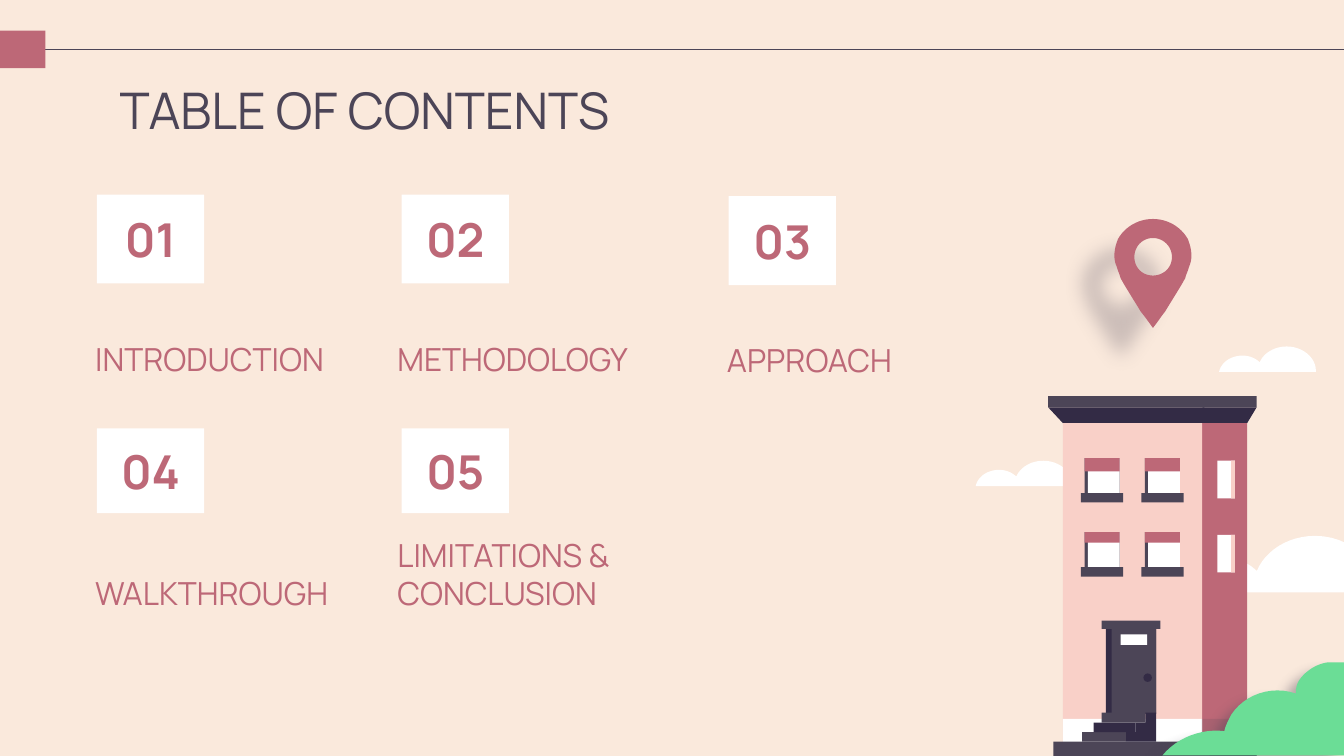
from pptx import Presentation
from pptx.dml.color import RGBColor
from pptx.enum.shapes import MSO_CONNECTOR, MSO_SHAPE
from pptx.enum.text import MSO_ANCHOR, PP_ALIGN
from pptx.oxml import parse_xml
from pptx.oxml.ns import qn, nsdecls
from pptx.util import Cm, Pt
from lxml.etree import SubElement

HUE = {
    "cream": "FAE9DC", "rose": "BD6877", "pink": "F9D0C8", "slate": "4C4557",
    "night": "332B45", "shade": "4E4958", "white": "FFFFFF", "green": "6BDD96",
}
STEPS = 12  # straight pieces per curve

deck = Presentation()
deck.slide_width, deck.slide_height = Cm(25.4), Cm(14.29)
slide = deck.slides.add_slide(deck.slide_layouts[6])
shapes = slide.shapes
slide.background.fill.solid()
slide.background.fill.fore_color.rgb = RGBColor.from_string(HUE["cream"])


def box(hue, left, top, width, height, kind=MSO_SHAPE.RECTANGLE, alpha=None):
    """Add a plain filled shape; alpha is a percentage."""
    item = shapes.add_shape(kind, Cm(left), Cm(top), Cm(width), Cm(height))
    item.shadow.inherit = False
    item.line.fill.background()
    item.fill.solid()
    item.fill.fore_color.rgb = RGBColor.from_string(HUE[hue])
    if alpha:
        tint = item._element.spPr.find(qn("a:solidFill"))[0]
        SubElement(tint, qn("a:alpha")).set("val", str(alpha * 1000))
    return item


def sketch(hue, rings, left=0, top=0, width=1, height=1, glow=None):
    """Add an outline; a pair is a corner, six numbers are a cubic curve."""
    pen = None
    for ring in rings:
        spots = []
        for node in ring:
            if len(node) == 2:
                spots.append(node)
                continue
            ends = [spots[-1], node[:2], node[2:4], node[4:]]
            for step in range(1, STEPS + 1):
                t = step / STEPS
                part = ((1 - t) ** 3, 3 * t * (1 - t) ** 2, 3 * t * t * (1 - t), t ** 3)
                spots.append([sum(p * e[i] for p, e in zip(part, ends)) for i in (0, 1)])
        spots = [(Cm(left + x * width), Cm(top + y * height)) for x, y in spots]
        if pen is None:
            pen = shapes.build_freeform(*spots[0])
        else:
            pen.move_to(*spots[0])
        pen.add_line_segments(spots[1:], close=True)
    item = pen.convert_to_shape()
    item.shadow.inherit = False
    item.line.fill.background()
    item.fill.solid()
    item.fill.fore_color.rgb = RGBColor.from_string(HUE[hue])
    if glow:
        alpha, blur, dist = glow
        item._element.spPr.find(qn("a:effectLst")).append(parse_xml(
            f'<a:outerShdw {nsdecls("a")} blurRad="{Pt(blur)}" dist="{Pt(dist)}" '
            f'dir="{138 * 60000}" algn="bl" rotWithShape="0"><a:srgbClr val="{HUE["slate"]}">'
            f'<a:alpha val="{alpha * 1000}"/></a:srgbClr></a:outerShdw>'))


# Header rule and tab
rule = shapes.add_connector(MSO_CONNECTOR.STRAIGHT, 0, Cm(0.94), Cm(25.4), Cm(0.94))
rule.line.color.rgb = RGBColor.from_string(HUE["slate"])
rule.line.width = Pt(0.75)
SubElement(rule._element.spPr, qn("a:effectLst"))
box("rose", 0, 0.58, 0.86, 0.71)

# Clouds
cloud = [(1, 1), (1, 0.95), (1, 0.43, 0.86, 0, 0.7, 0), (0.57, 0, 0.46, 0.26, 0.42, 0.62),
         (0.37, 0.45, 0.31, 0.36, 0.24, 0.36), (0.12, 0.36, 0.02, 0.64, 0, 1)]
for place in [(18.44, 8.71, 1.83, 0.48), (23.04, 6.55, 1.83, 0.48), (22.1, 10.13, 3.94, 1.07)]:
    sketch("white", [cloud], *place)

# Eaves, walls and roof
sketch("night", [[(19.81, 7.7), (22.76, 7.7), (22.76, 8), (20.09, 8)]])
sketch("night", [[(22.73, 7.7), (23.75, 7.7), (23.57, 8), (22.73, 8)]])
for part in [
    ("rose", 22.71, 8, 0.86, 6.29),
    ("pink", 20.09, 8, 2.63, 6.29),
    ("slate", 22.73, 7.49, 1.02, 0.21),
    ("slate", 19.81, 7.49, 2.95, 0.21),
    ("white", 20.09, 13.59, 2.63, 0.7),
]:
    box(*part)
box("shade", 22.71, 13.59, 0.86, 0.7, alpha=17)

# Windows
for top, blind in [(8.66, 0.25), (10.06, 0.2)]:
    for left in (20.5, 21.64):
        box("slate", left, top, 0.66, 0.66)
        box("white", left + 0.06, top, 0.6, 0.66)
        box("rose", left, top, 0.66, blind)
        box("slate", left - 0.07, top + 0.66, 0.8, 0.18)
    box("white", 23.01, top + 0.05, 0.33, 0.71)
    box("pink", 23.27, top + 0.05, 0.07, 0.71)

# Ground, door and stairs
box("slate", 19.91, 14.02, 3.84, 0.27)
box("night", 22.86, 14.02, 0.89, 0.27, alpha=57)
for part in [
    ("night", 20.9, 11.89, 0.95, 1.6),
    ("slate", 21.01, 11.89, 0.84, 1.6),
    ("white", 21.18, 11.99, 0.5, 0.2),
    ("slate", 20.82, 11.73, 1.11, 0.16),
]:
    box(*part)
sketch("night", [[(21.65, 13.47), (21.65, 13.66), (21.46, 13.66), (21.46, 13.84),
                  (21.28, 13.84), (21.28, 14.02), (21.85, 14.02), (21.85, 13.47)]])
box("slate", 20.45, 13.84, 0.83, 0.18)
box("night", 20.67, 13.66, 0.79, 0.18)
box("slate", 20.82, 13.47, 0.83, 0.19)
box("night", 21.61, 12.73, 0.16, 0.16, MSO_SHAPE.OVAL)

# Bush
sketch("green", [[
    (25.4, 12.52), (25.4, 14.28), (21.97, 14.28), (22.25, 13.94, 22.71, 13.77, 23.14, 13.82),
    (23.16, 13.72, 23.22, 13.61, 23.27, 13.51), (23.52, 13.13, 24.03, 12.95, 24.49, 13.11),
    (24.49, 13, 24.51, 12.93, 24.56, 12.85), (24.69, 12.67, 24.89, 12.55, 25.1, 12.52),
]], glow=(41, 6.8, 8.2))

# Map pin: outline and hole
sketch("rose", [[
    (21.79, 4.14), (21.51, 4.14, 21.26, 4.29, 21.13, 4.52),
    (21.06, 4.7, 21.03, 4.88, 21.11, 5.05), (21.13, 5.13, 21.16, 5.18, 21.18, 5.26),
    (21.29, 5.46, 21.44, 5.69, 21.56, 5.89), (21.64, 5.99, 21.72, 6.1, 21.79, 6.2),
    (21.87, 6.1, 21.94, 5.99, 22.02, 5.89), (22.14, 5.69, 22.29, 5.46, 22.4, 5.26),
    (22.42, 5.18, 22.45, 5.13, 22.47, 5.05), (22.55, 4.88, 22.52, 4.7, 22.45, 4.52),
    (22.32, 4.29, 22.07, 4.14, 21.79, 4.14),
], [
    (21.79, 4.5), (21.99, 4.5, 22.15, 4.66, 22.15, 4.86),
    (22.15, 5.06, 21.99, 5.21, 21.79, 5.21), (21.59, 5.21, 21.44, 5.06, 21.44, 4.86),
    (21.44, 4.66, 21.59, 4.5, 21.79, 4.5),
]], glow=(25, 10.1, 23.2))

# Title, numbers and topics
title = shapes.add_textbox(Cm(2.01), Cm(1.24), Cm(21.41), Cm(1.6))
texts = [(title, "TABLE OF CONTENTS", 27, "slate", MSO_ANCHOR.TOP, PP_ALIGN.LEFT)]
topics = [
    ("INTRODUCTION", 1.83, 3.68, 1.68, 1.55, 5.51, 5.59),
    ("METHODOLOGY", 7.59, 3.68, 1.68, 7.26, 5.51, 5.82),
    ("APPROACH", 13.77, 3.71, 1.68, 13.49, 5.54, 4.57),
    ("WALKTHROUGH", 1.83, 8.1, 1.6, 1.55, 9.93, 5.44),
    ("LIMITATIONS & CONCLUSION", 7.59, 8.1, 1.6, 7.26, 9.93, 5.44),
]
for count, (topic, left, top, height, start, drop, width) in enumerate(topics, 1):
    tile = box("white", left, top, 2.03, height)
    texts.append((tile, f"{count:02}", 25, "rose", MSO_ANCHOR.MIDDLE, PP_ALIGN.CENTER))
    label = shapes.add_textbox(Cm(start), Cm(drop), Cm(width), Cm(1.88))
    texts.append((label, topic, 17, "rose", MSO_ANCHOR.BOTTOM, PP_ALIGN.LEFT))

for item, words, size, hue, anchor, align in texts:
    frame = item.text_frame
    frame.word_wrap = True
    frame.vertical_anchor = anchor
    frame.margin_left = frame.margin_right = Cm(0.25)
    frame.margin_top = frame.margin_bottom = Cm(0.25)
    line = frame.paragraphs[0]
    line.text = words
    line.alignment = align
    line.font.name = "Manrope"
    line.font.size = Pt(size)
    line.font.bold = align == PP_ALIGN.CENTER
    line.font.color.rgb = RGBColor.from_string(HUE[hue])

deck.save("out.pptx")
